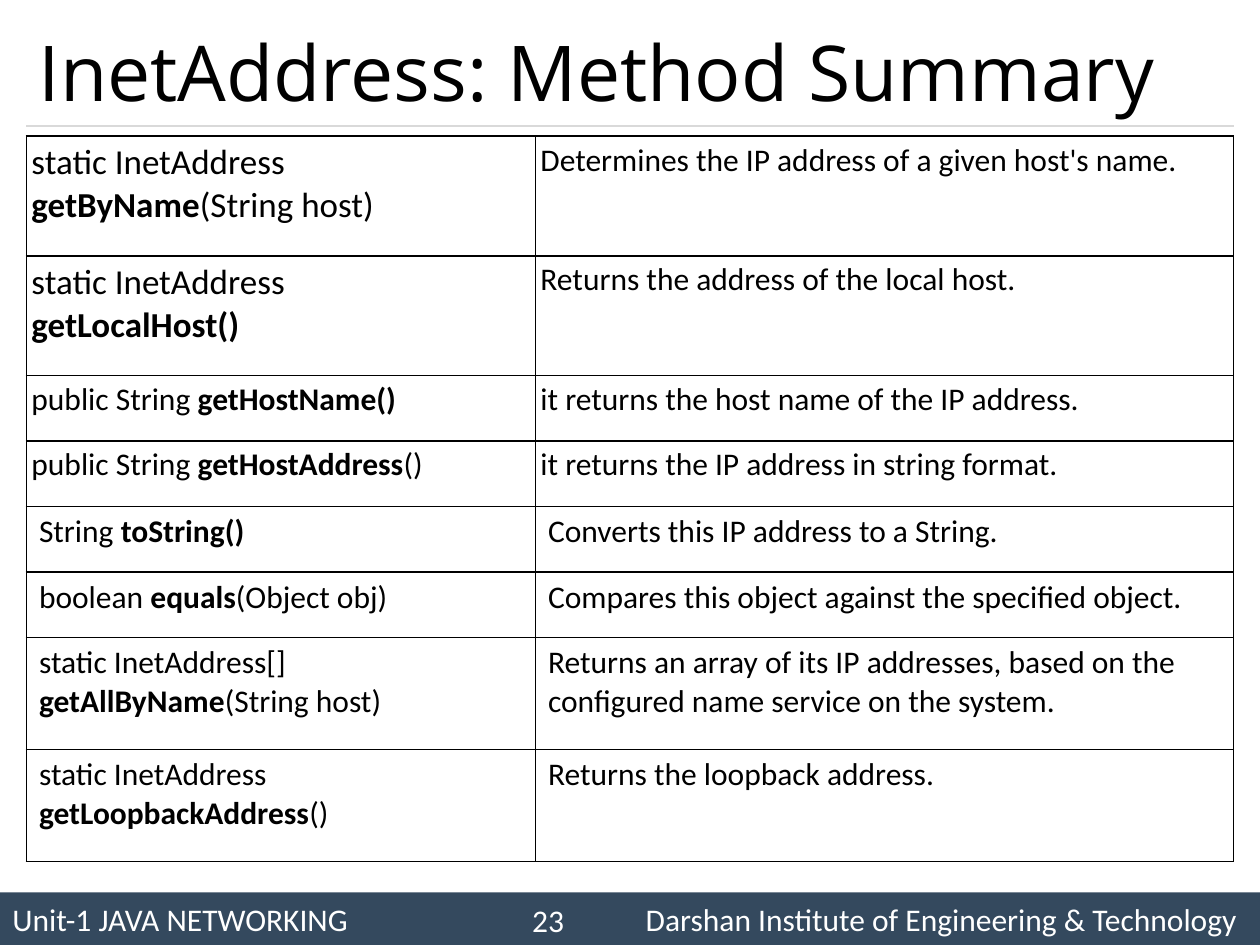
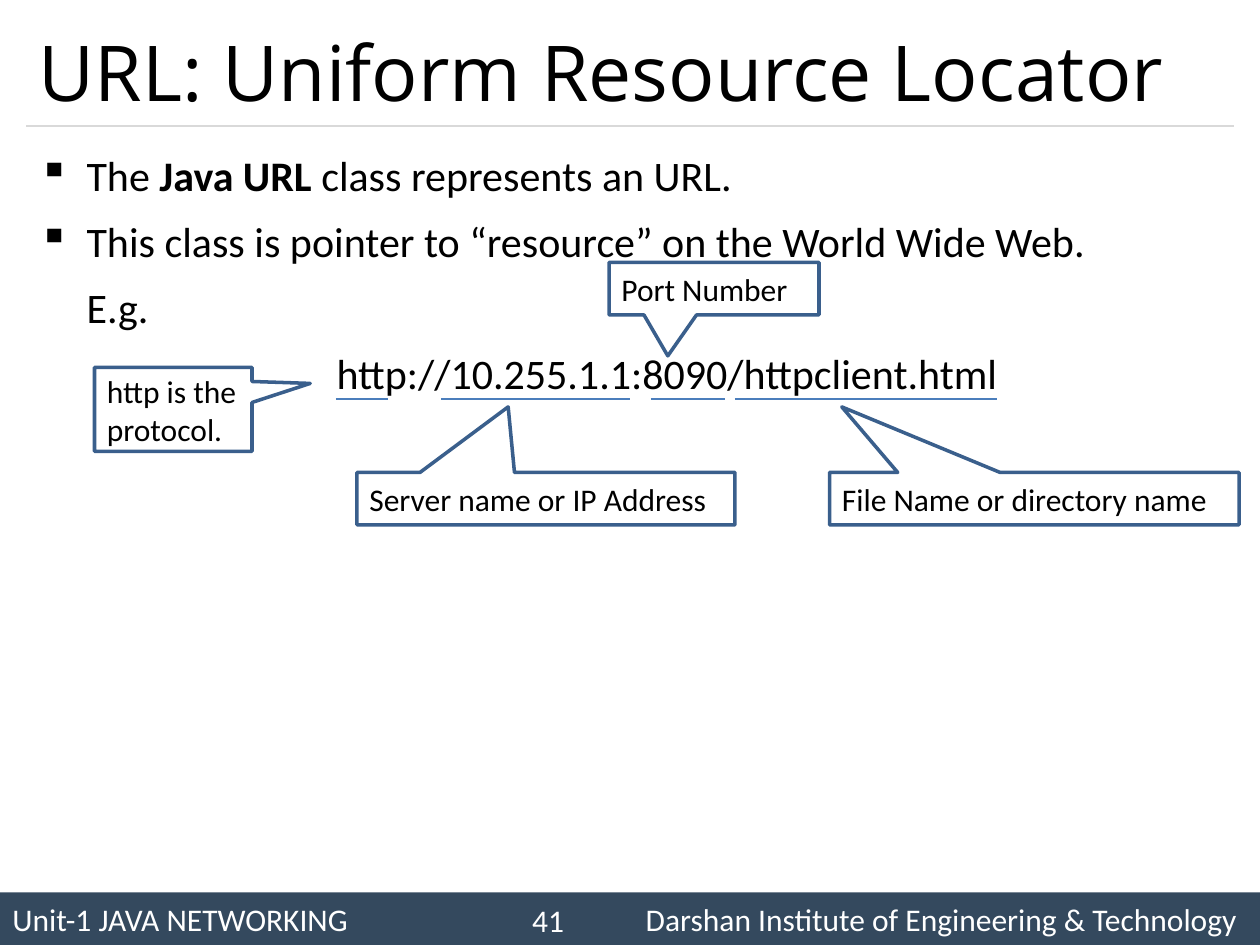
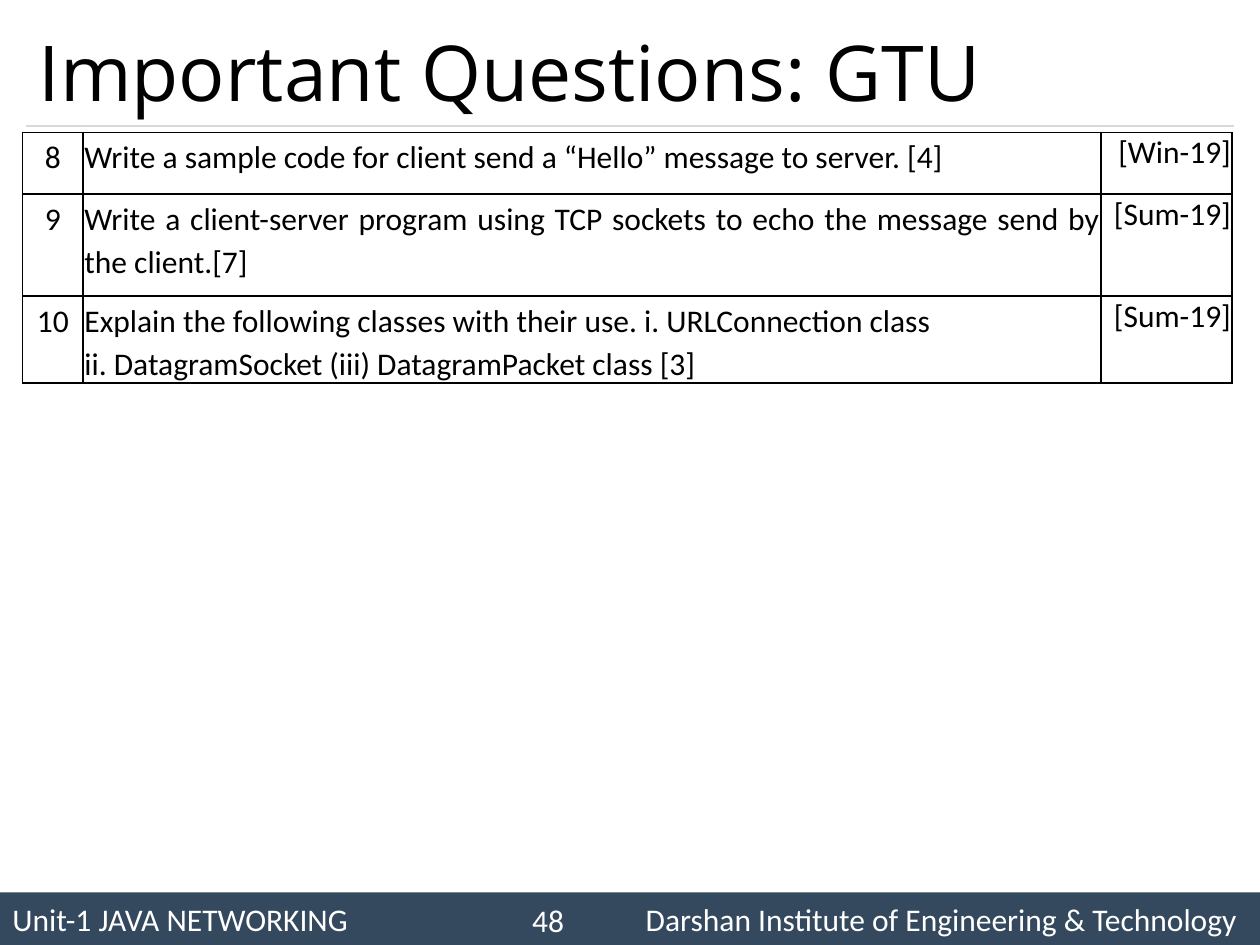
from lxml.etree import SubElement
from pptx import Presentation
from pptx.dml.color import RGBColor
from pptx.enum.shapes import MSO_CONNECTOR, MSO_SHAPE
from pptx.enum.text import MSO_ANCHOR, MSO_AUTO_SIZE, PP_ALIGN
from pptx.oxml.ns import qn
from pptx.util import Inches, Pt

BLACK, WHITE, BAND = "000000", "FFFFFF", "34495E"
RULE, CALLOUT, UNDERLINE = "D9D9D9", "3A5F8C", "4B7EBC"
TITLE_FONT, TEXT_FONT = "Open Sans", "Calibri"
COLUMNS, ROWS = 120, 90  # the slide is laid out on twelfths of an inch
MARGIN = 2.5
HANGING = Inches(0.38)
URL_ROW = 38

METHODS = [
    ("static InetAddress\n*getByName*(String host)", "Determines the IP address of a given host's name."),
    ("static InetAddress\n*getLocalHost()*", "Returns the address of the local host."),
    ("public String *getHostName()*", "it returns the host name of the IP address."),
    ("public String *getHostAddress*()", "it returns the IP address in string format."),
    ("String *toString()*", "Converts this IP address to a String."),
    ("boolean *equals*(Object obj)", "Compares this object against the specified object."),
    ("static InetAddress[]\n*getAllByName*(String host)",
     "Returns an array of its IP addresses, based on the configured name service on the system."),
    ("static InetAddress\n*getLoopbackAddress*()", "Returns the loopback address."),
]
QUESTIONS = [
    ("8", "Write a sample code for client send a “Hello” message to server. [4]", "[Win-19]"),
    ("9", "Write a client-server program using TCP sockets to echo the message send by the client.[7]", "[Sum-19]"),
    ("10", "Explain the following classes with their use. i. URLConnection class\n"
     "ii. DatagramSocket (iii) DatagramPacket class [3]", "[Sum-19]"),
]
URL_LINES = [
    "The *Java URL* class represents an URL.",
    "This class is pointer to “resource” on the World Wide Web.",
    "E.g.",
    "http://10.255.1.1:8090/httpclient.html",
]
# label, grid box, pointer tip as shares of the box
URL_CALLOUTS = [
    ("http is the protocol.", (9, 35, 15, 8), (0.87, -0.31)),
    ("Server name or IP Address", (34, 45, 36, 5), (-0.1, -1.75)),
    ("Port Number", (58, 25, 20, 5), (-0.22, 1.28)),
    ("File Name or directory name", (79, 45, 39, 5), (-0.47, -1.75)),
]
URL_PARTS = [(32, 37), (42, 60), (62, 69), (70, 95)]


def color(hex_string):
    return RGBColor.from_string(hex_string)


def grid(*units):
    return [Inches(unit / 12) for unit in units]


def write(text_frame, text, size=18, font_color=BLACK, font=TEXT_FONT,
          align=PP_ALIGN.LEFT, spacing=None):
    """Fill a frame with one paragraph per line; text between asterisks is bold."""
    text_frame.word_wrap = True
    for index, line in enumerate(text.split("\n")):
        paragraph = text_frame.paragraphs[0] if index == 0 else text_frame.add_paragraph()
        first, *others = line.split("*")
        paragraph.text = first
        for position, part in enumerate(others):
            if part:
                run = paragraph.add_run()
                run.text = part
                run.font.bold = position % 2 == 0
        paragraph.alignment = align
        if spacing:
            paragraph.line_spacing = spacing
        for run in paragraph.runs:
            run.font.name = font
            run.font.size = Pt(size)
            run.font.color.rgb = color(font_color)


def add_line(slide, start, end, row, line_color):
    connector = slide.shapes.add_connector(MSO_CONNECTOR.STRAIGHT, *grid(start, row, end, row))
    connector.line.color.rgb = color(line_color)
    connector.line.width = Pt(0.75)
    SubElement(connector._element.spPr, qn("a:effectLst"))


def add_footer(slide, number):
    band = slide.shapes.add_shape(MSO_SHAPE.RECTANGLE, *grid(0, ROWS - 5, COLUMNS, 5))
    band.shadow.inherit = False
    band.fill.solid()
    band.fill.fore_color.rgb = color(BAND)
    band.line.fill.background()
    write(band.text_frame, "Unit-1 JAVA NETWORKING\tDarshan Institute of Engineering & Technology",
          font_color=WHITE)
    properties = band.text_frame.paragraphs[0]._p.get_or_add_pPr()
    tabs = SubElement(properties, qn("a:tabLst"))
    SubElement(tabs, qn("a:tab"), pos=str(Inches(9.72)), algn="r")
    page = slide.shapes.add_textbox(*grid(49.5, 85.2, 6, 4.8))
    write(page.text_frame, str(number), font_color=WHITE)
    page.text_frame.word_wrap = False


def add_content_slide(presentation, title, number):
    slide = presentation.slides.add_slide(presentation.slide_layouts[5])
    heading = slide.shapes.title
    heading.left, heading.top, heading.width, heading.height = grid(
        MARGIN, 1.5, COLUMNS - 2 * MARGIN, 10.5)
    heading.text_frame.auto_size = MSO_AUTO_SIZE.NONE
    heading.text_frame.vertical_anchor = MSO_ANCHOR.MIDDLE
    write(heading.text_frame, title, 44, font=TITLE_FONT)
    add_footer(slide, number)
    add_line(slide, MARGIN, COLUMNS - MARGIN, 12, RULE)
    return slide


def add_table(slide, left, top, widths, heights):
    """Add an unstyled table; left, top and sizes are inches."""
    frame = slide.shapes.add_table(len(heights), len(widths), Inches(left), Inches(top),
                                   Inches(sum(widths)), Inches(sum(heights)))
    table = frame.table
    table.first_row = table.horz_banding = False
    for column, width in zip(table.columns, widths):
        column.width = Inches(width)
    for row, height in zip(table.rows, heights):
        row.height = Inches(height)
    for cell in table.iter_cells():
        outline_cell(cell)
    return table


def outline_cell(cell):
    properties = cell._tc.get_or_add_tcPr()
    for side in ("lnL", "lnR", "lnT", "lnB"):
        border = SubElement(properties, qn(f"a:{side}"), w=str(Pt(1)))
        fill = SubElement(border, qn("a:solidFill"))
        SubElement(fill, qn("a:srgbClr"), val=BLACK)
    cell.fill.background()


def set_margins(cell, side, bottom):
    cell.margin_left = cell.margin_right = cell.margin_top = Inches(side)
    cell.margin_bottom = Inches(bottom)


def add_method_table(slide):
    table = add_table(slide, 0.21, 1.08, [4.04, 5.54], [0.95] * 2 + [0.52] * 4 + [0.89] * 2)
    for row, texts in enumerate(METHODS):
        for column, text in enumerate(texts):
            cell = table.cell(row, column)
            tight = row < 4
            if tight:
                set_margins(cell, 0.04, 0.04)
            write(cell.text_frame, text, 20 if row < 2 and column == 0 else 18,
                  align=PP_ALIGN.JUSTIFY if tight else PP_ALIGN.LEFT)


def add_question_table(slide):
    table = add_table(slide, 0.18, 1.05, [0.48, 8.08, 1.04], [0.49, 0.81, 0.68])
    styles = [(PP_ALIGN.CENTER, 1.13), (PP_ALIGN.JUSTIFY, 1.13), (PP_ALIGN.RIGHT, None)]
    for row, texts in enumerate(QUESTIONS):
        for column, (text, (align, spacing)) in enumerate(zip(texts, styles)):
            cell = table.cell(row, column)
            set_margins(cell, 0.01, 0)
            write(cell.text_frame, text, align=align, spacing=spacing)


def add_url_text(slide):
    body = slide.shapes.add_textbox(*grid(MARGIN, 13, COLUMNS - MARGIN, 70))
    write(body.text_frame, "\n".join(URL_LINES), 24, spacing=1.14)
    paragraphs = body.text_frame.paragraphs
    for index, paragraph in enumerate(paragraphs):
        if index:
            paragraph.space_before = Pt(4.8)
        properties = paragraph._p.get_or_add_pPr()
        properties.set("marL", str(HANGING))
        if index < 2:
            properties.set("indent", str(-HANGING))
            SubElement(properties, qn("a:buChar"), char="▪")
    paragraphs[-1].alignment = PP_ALIGN.CENTER


def add_callout(slide, label, box, tip):
    callout = slide.shapes.add_shape(MSO_SHAPE.RECTANGULAR_CALLOUT, *grid(*box))
    callout.adjustments[0], callout.adjustments[1] = tip
    callout.shadow.inherit = False
    callout.fill.background()
    callout.line.color.rgb = color(CALLOUT)
    callout.line.width = Pt(2)
    callout.text_frame.vertical_anchor = MSO_ANCHOR.MIDDLE
    write(callout.text_frame, label)


def main():
    presentation = Presentation()
    presentation.slide_width, presentation.slide_height = grid(COLUMNS, ROWS)

    add_method_table(add_content_slide(presentation, "InetAddress: Method Summary", 23))

    url_slide = add_content_slide(presentation, "URL: Uniform Resource Locator", 41)
    add_url_text(url_slide)
    for label, box, tip in URL_CALLOUTS:
        add_callout(url_slide, label, box, tip)
    for start, end in URL_PARTS:
        add_line(url_slide, start, end, URL_ROW, UNDERLINE)

    add_question_table(add_content_slide(presentation, "Important Questions: GTU", 48))
    presentation.save("out.pptx")


if __name__ == "__main__":
    main()
